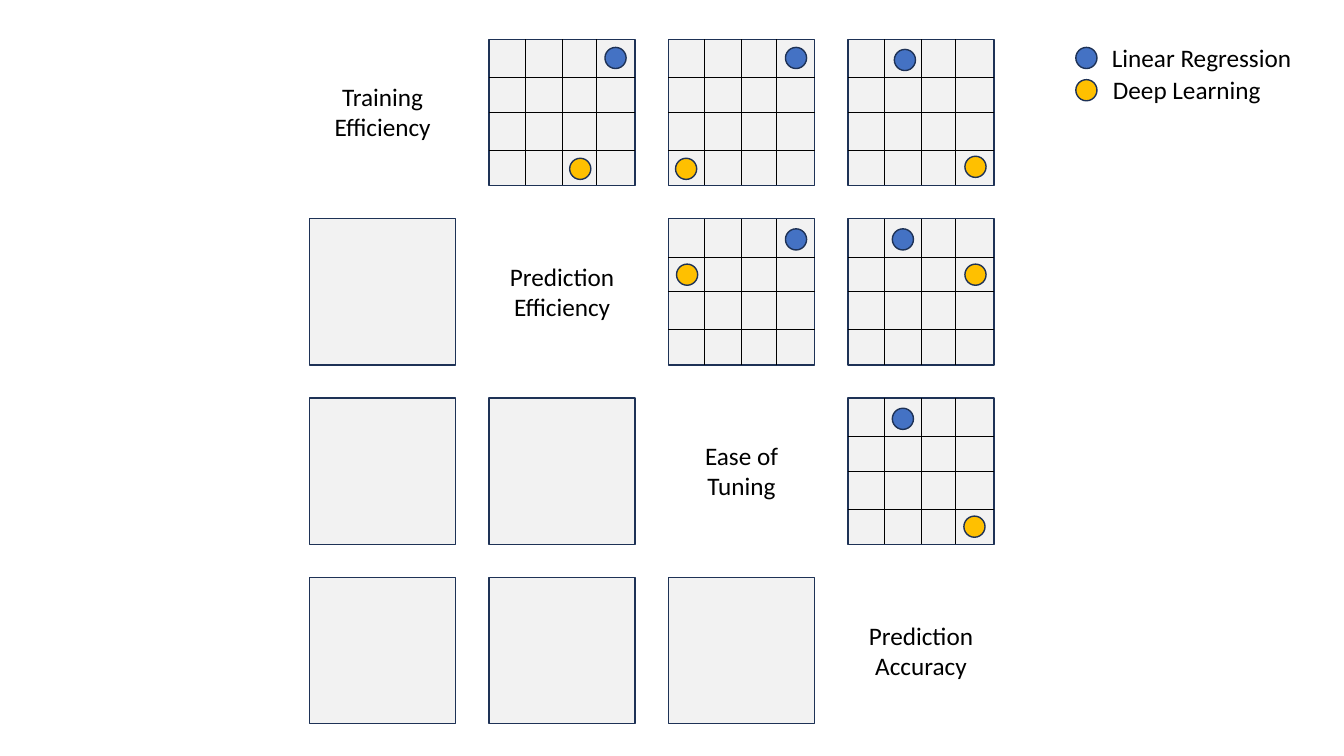
from pptx import Presentation
from pptx.dml.color import RGBColor
from pptx.enum.shapes import MSO_CONNECTOR as Connector, MSO_SHAPE as Shape
from pptx.enum.text import MSO_AUTO_SIZE as AutoSize, PP_ALIGN as Align
from pptx.oxml.ns import qn
from pptx.util import Pt
from lxml.etree import SubElement

EMU_PER_PX = 9144
NAVY, BLUE, YELLOW, GREY, BLACK = "1E3256", "4472C4", "FFC000", "F2F2F2", "000000"
MATRIX_LEFT, MATRIX_TOP, PITCH, PANEL = 307, 39, 178, 145
DOT = 21
COLUMN_LINES = (36, 72, 107)
ROW_LINES = (38, 72, 110)
CRITERIA = [
    ("Training\nEfficiency", 117),
    ("Prediction\nEfficiency", 125),
    ("Ease of\nTuning", 93),
    ("Prediction\nAccuracy", 125),
]
RATINGS = {
    (0, 1): ((115, 8), (80, 118)),
    (0, 2): ((116, 8), (7, 118)),
    (0, 3): ((46, 10), (116, 116)),
    (1, 2): ((116, 10), (8, 45)),
    (1, 3): ((44, 10), (116, 45)),
    (2, 3): ((44, 10), (115, 117)),
}
LEGEND = [("Linear Regression", BLUE, 26, 200), ("Deep Learning", YELLOW, 27, 169)]


def px(*lengths):
    """Turn pixel lengths into EMU."""
    return [length * EMU_PER_PX for length in lengths]


def color(value):
    """Turn a hex string into a colour."""
    return RGBColor.from_string(value)


def add_outlined(shapes, kind, left, top, size, fill):
    """Draw a square-bounded shape with a navy outline."""
    shape = shapes.add_shape(kind, *px(left, top, size, size))
    shape.shadow.inherit = False
    shape.fill.solid()
    shape.fill.fore_color.rgb = color(fill)
    shape.line.color.rgb = color(NAVY)
    shape.line.width = Pt(1)
    return shape


def add_text(slide, text, left, top, width, height, size=18, align=Align.LEFT, font="Calibri", fill=BLACK):
    """Write one paragraph per line of text."""
    box = slide.shapes.add_textbox(*px(left, top, width, height))
    frame = box.text_frame
    frame.word_wrap = False
    frame.auto_size = AutoSize.SHAPE_TO_FIT_TEXT
    frame.text = text
    for paragraph in frame.paragraphs:
        paragraph.alignment = align
        paragraph.font.size = Pt(size)
        paragraph.font.name = font
        paragraph.font.color.rgb = color(fill)


def add_line(shapes, start, end):
    """Draw a thin black grid line."""
    line = shapes.add_connector(Connector.STRAIGHT, *px(*start, *end))
    line.line.color.rgb = color(BLACK)
    line.line.width = Pt(0.5)
    SubElement(line._element.spPr, qn("a:effectLst"))
    return line


def join(line, panel, begin, end):
    """Attach a line to the middles of two sides of a panel."""
    line.begin_connect(panel, begin)
    line.end_connect(panel, end)


def add_rated_panel(slide, left, top, ratings):
    """Draw a four by four grid with one dot per method."""
    shapes = slide.shapes.add_group_shape().shapes
    panel = add_outlined(shapes, Shape.RECTANGLE, left, top, PANEL, GREY)
    columns = [add_line(shapes, (left + x, top), (left + x, top + PANEL)) for x in COLUMN_LINES]
    rows = [add_line(shapes, (left, top + y), (left + PANEL, top + y)) for y in ROW_LINES]
    join(columns[1], panel, 0, 2)
    join(rows[1], panel, 1, 3)
    for (x, y), fill in zip(ratings, (BLUE, YELLOW)):
        add_outlined(slide.shapes, Shape.OVAL, left + x, top + y, DOT, fill)


def add_criterion(slide, left, top, text, width):
    """Write a criterion in the middle of its diagonal cell."""
    add_text(slide, text, left + (PANEL - width) // 2, top + 37, width, 71, align=Align.CENTER)


def add_matrix(slide, left, top):
    """Lay out criteria on the diagonal, ratings above and empty panels below."""
    count = len(CRITERIA)
    for row in range(count):
        for column in range(count):
            x, y = left + column * PITCH, top + row * PITCH
            if row == column:
                add_criterion(slide, x, y, *CRITERIA[row])
            elif row < column:
                add_rated_panel(slide, x, y, RATINGS[row, column])
            else:
                add_outlined(slide.shapes, Shape.RECTANGLE, x, y, PANEL, GREY)


def add_legend(slide, left, top):
    """List the methods beside their dots."""
    for index, (name, fill, indent, width) in enumerate(LEGEND):
        y = top + index * 32
        add_outlined(slide.shapes, Shape.OVAL, left, y + 10, DOT, fill)
        add_text(slide, name, left + indent, y, width, 40)


def main():
    """Build and save the slide."""
    presentation = Presentation()
    presentation.slide_width, presentation.slide_height = px(1333, 750)
    slide = presentation.slides.add_slide(presentation.slide_layouts[6])
    add_matrix(slide, MATRIX_LEFT, MATRIX_TOP)
    add_legend(slide, 1067, 37)
    presentation.save("out.pptx")


if __name__ == "__main__":
    main()
